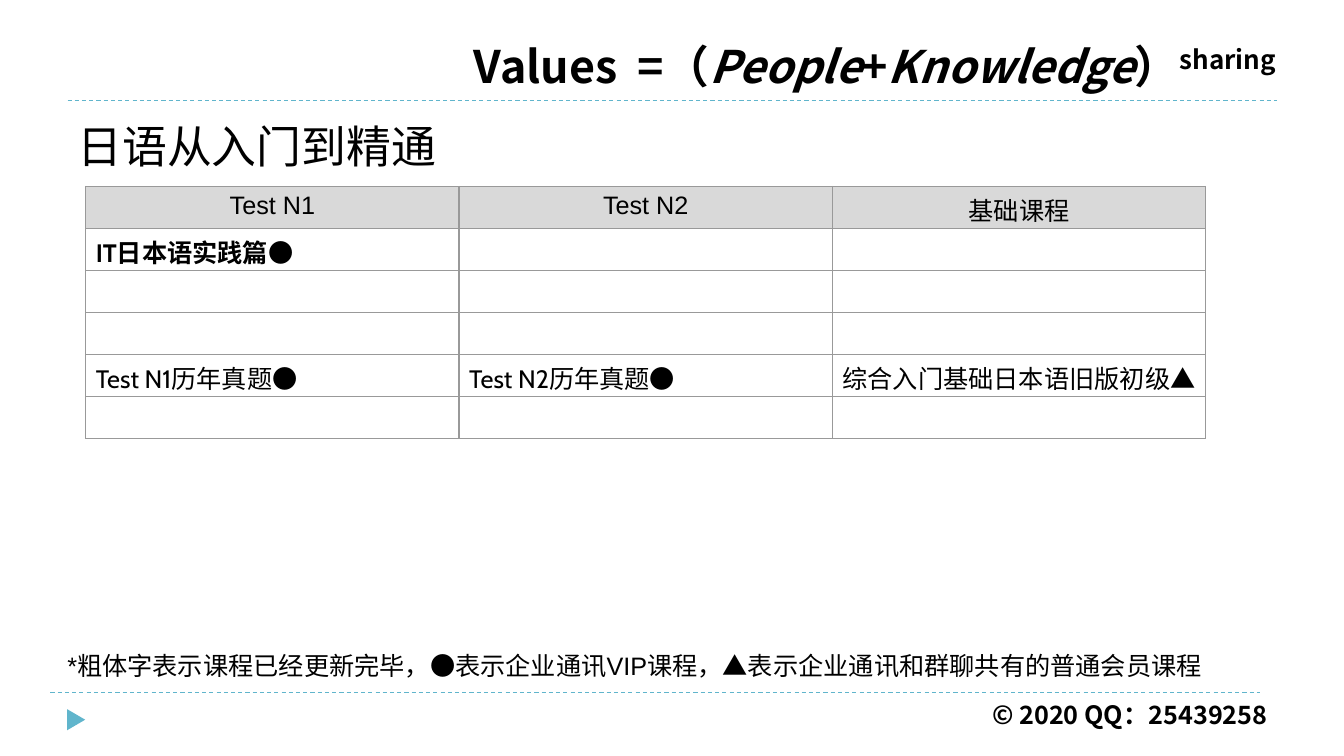
import pptx
import pptx.dml.color
import pptx.enum.dml
import pptx.enum.shapes
import pptx.enum.text
import pptx.oxml
import pptx.oxml.ns
import pptx.util
from pptx.util import Inches

BLACK = pptx.dml.color.RGBColor(0x00, 0x00, 0x00)
WHITE = pptx.dml.color.RGBColor(0xFF, 0xFF, 0xFF)
ACCENT = pptx.dml.color.RGBColor(0x60, 0xB5, 0xCC)
HEADING_FILL = pptx.dml.color.RGBColor(0xD9, 0xD9, 0xD9)
GRID = pptx.dml.color.RGBColor(0x99, 0x99, 0x99)

CJK = "Noto Sans CJK SC"
LEFT = pptx.enum.text.PP_ALIGN.LEFT
CENTER = pptx.enum.text.PP_ALIGN.CENTER
RIGHT = pptx.enum.text.PP_ALIGN.RIGHT

HEADINGS = ["Test N1", "Test N2", "基础课程"]
# (row, column): course name, access mark, finished
COURSES = {
    (1, 0): ("IT日本语实践篇", "●", True),
    (4, 0): ("Test N1历年真题", "●", False),
    (4, 1): ("Test N2历年真题", "●", False),
    (4, 2): ("综合入门基础日本语旧版初级", "▲", False),
}
ROWS = 6


def set_font(font, name, size, bold=False):
    font.name = name
    font.size = pptx.util.Pt(size)
    font.bold = bold
    font.color.rgb = BLACK
    # East Asian typeface follows the Latin one
    east_asian = pptx.oxml.parse_xml(
        f'<a:ea {pptx.oxml.ns.nsdecls("a")} typeface="{CJK}"/>')
    font._rPr.find(pptx.oxml.ns.qn("a:latin")).addnext(east_asian)


def add_text(slide, left, top, width, height, texts, name, size,
             align=LEFT, bold=False):
    """Add a one-paragraph text box and return its runs."""
    frame = slide.shapes.add_textbox(
        Inches(left), Inches(top), Inches(width), Inches(height)).text_frame
    frame.word_wrap = True
    frame.vertical_anchor = pptx.enum.text.MSO_ANCHOR.MIDDLE
    paragraph = frame.paragraphs[0]
    paragraph.alignment = align
    set_font(paragraph.font, name, size, bold)
    runs = []
    for text in texts:
        run = paragraph.add_run()
        run.text = text
        runs.append(run)
    return runs


def add_dashed_rule(slide, left, top):
    rule = slide.shapes.add_connector(
        pptx.enum.shapes.MSO_CONNECTOR.STRAIGHT,
        Inches(left), Inches(top), Inches(left + 12), Inches(top))
    rule.line.color.rgb = ACCENT
    rule.line.width = pptx.util.Pt(0.75)
    rule.line.dash_style = pptx.enum.dml.MSO_LINE.DASH
    rule._element.spPr.append(pptx.oxml.parse_xml(
        f'<a:effectLst {pptx.oxml.ns.nsdecls("a")}/>'))


def add_marker(slide):
    marker = slide.shapes.add_shape(
        pptx.enum.shapes.MSO_SHAPE.ISOSCELES_TRIANGLE,
        Inches(0.65), Inches(7.05), Inches(0.21), Inches(0.18))
    marker.rotation = 90
    marker.shadow.inherit = False
    marker.fill.solid()
    marker.fill.fore_color.rgb = ACCENT
    marker.line.fill.background()


def style_cell(cell, fill):
    # Borders come before the fill in the cell properties
    properties = cell._tc.get_or_add_tcPr()
    for side in ("lnL", "lnR", "lnT", "lnB"):
        properties.append(pptx.oxml.parse_xml(
            f'<a:{side} {pptx.oxml.ns.nsdecls("a")} w="12700"><a:solidFill>'
            f'<a:srgbClr val="{GRID}"/></a:solidFill></a:{side}>'))
    cell.fill.solid()
    cell.fill.fore_color.rgb = fill


def add_course_table(slide):
    table = slide.shapes.add_table(
        ROWS, len(HEADINGS), Inches(0.85), Inches(1.85),
        Inches(11.11), Inches(2.5)).table
    table.first_row = False
    table.horz_banding = False
    for row in range(ROWS):
        for column, heading in enumerate(HEADINGS):
            cell = table.cell(row, column)
            style_cell(cell, WHITE if row else HEADING_FILL)
            paragraph = cell.text_frame.paragraphs[0]
            if row == 0:
                paragraph.alignment = CENTER
                set_font(paragraph.font, "Arial", 18)
                paragraph.add_run().text = heading
            elif (row, column) in COURSES:
                course, mark, finished = COURSES[row, column]
                for text, name, bold in ((course, "Cabin", finished),
                                         (mark, "Arial", False)):
                    run = paragraph.add_run()
                    run.text = text
                    set_font(run.font, name, 18, bold)


def main():
    presentation = pptx.Presentation()
    presentation.slide_width = Inches(13.33)
    presentation.slide_height = Inches(7.5)
    slide = presentation.slides.add_slide(presentation.slide_layouts[6])

    # Frame: rules, marker and copyright
    add_dashed_rule(slide, 0.67, 1)
    add_dashed_rule(slide, 0.5, 6.87)
    add_marker(slide)
    add_text(slide, 6.42, 6.89, 6.25, 0.4, ["© 2020 QQ：25439258"],
             CJK, 18, RIGHT, bold=True)

    # Motto with italic terms and a raised exponent
    motto = add_text(
        slide, 3.77, 0.33, 8.98, 0.64,
        ["Values  =（", "People", "+", "Knowledge", "）", "sharing"],
        CJK, 32, RIGHT, bold=True)
    for term in (motto[1], motto[3]):
        term.font.italic = True
    motto[-1].font._rPr.set("baseline", "30000")

    # Title, courses and legend
    add_text(slide, 0.67, 1.12, 12.08, 0.64, ["日语从入门到精通"],
             "TeX Gyre Bonum", 32)
    add_course_table(slide)
    add_text(slide, 0.57, 6.41, 11.83, 0.39,
             ["*粗体字表示课程已经更新完毕，●表示企业通讯VIP课程，"
              "▲表示企业通讯和群聊共有的普通会员课程"], "Arial", 18)

    presentation.save("out.pptx")


if __name__ == "__main__":
    main()
